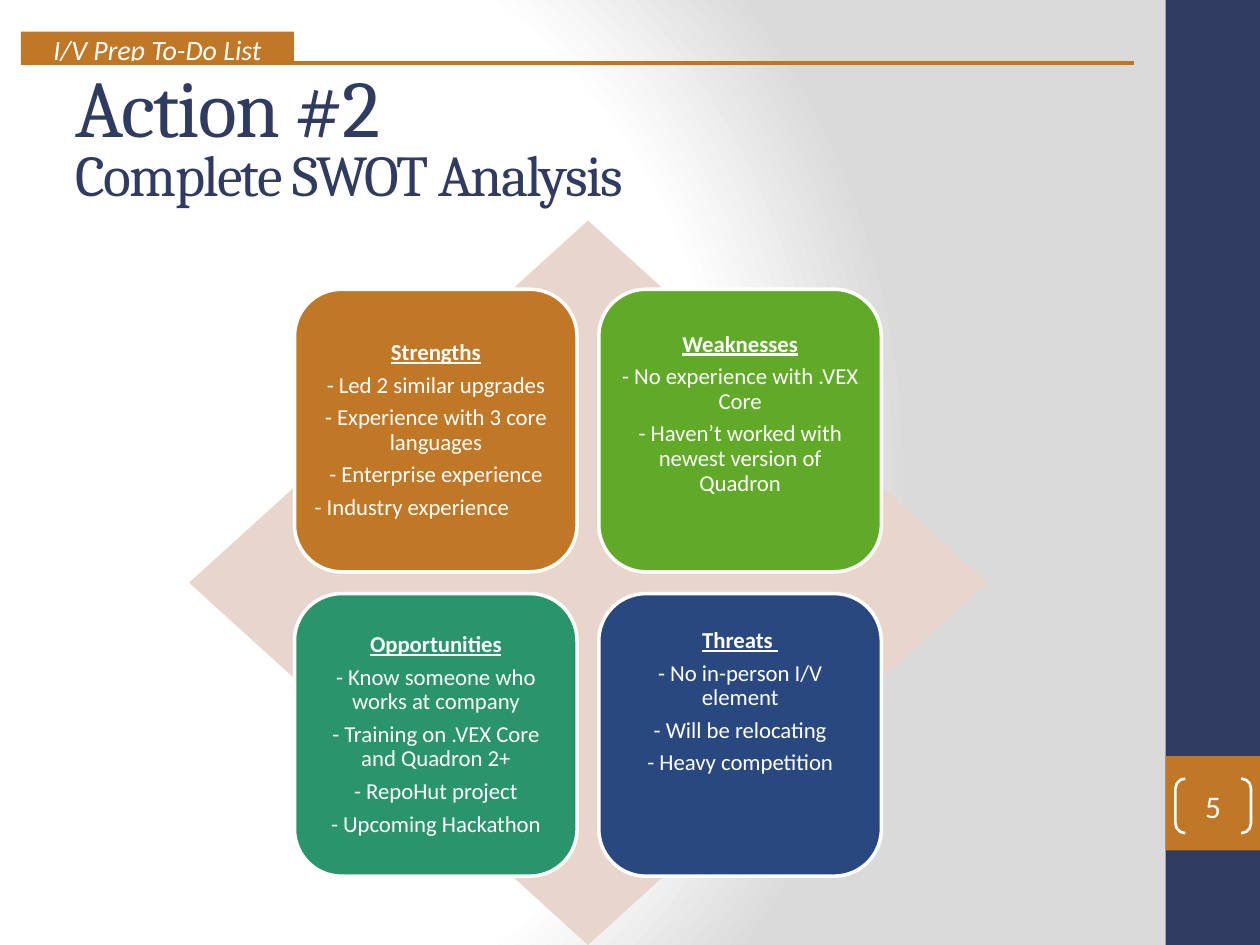
from typing import NamedTuple

from lxml.etree import SubElement
from pptx import Presentation
from pptx.dml.color import RGBColor
from pptx.enum.shapes import MSO_CONNECTOR, MSO_SHAPE as Shape
from pptx.enum.text import MSO_ANCHOR as Anchor, MSO_AUTO_SIZE, PP_ALIGN as Align
from pptx.oxml import parse_xml
from pptx.oxml.ns import nsdecls, qn
from pptx.util import Inches, Pt

COLS, ROWS = 120, 90  # grid of square cells over the slide
NAVY, ORANGE, WHITE = "2F3B60", "C07726", "FFFFFF"
BLANK_LINE = 3.1  # rows taken by one card line with its spacing


class Box(NamedTuple):
    x: float
    y: float
    w: float
    h: float


class Card(NamedTuple):
    heading: str
    points: list[str]
    fill: str
    raised_lines: int = 0
    last_left: bool = False


DIAMOND = Box(18, 21, 76, 69)
CARDS = [
    Card("Strengths", ["Led 2 similar upgrades", "Experience with 3 core languages",
                       "Enterprise experience", "Industry experience"], ORANGE, last_left=True),
    Card("Weaknesses", ["No experience with .VEX Core",
                        "Haven’t worked with newest version of Quadron"], "60AA28", 1),
    Card("Opportunities", ["Know someone who works at company",
                           "Training on .VEX Core and Quadron 2+",
                           "RepoHut project", "Upcoming Hackathon"], "2A946B"),
    Card("Threats ", ["No in-person I/V element", "Will be relocating",
                      "Heavy competition"], "2A4880", 2),
]

prs = Presentation()
prs.slide_width, prs.slide_height = Inches(10), Inches(7.5)


def rgb(color: str) -> RGBColor:
    return RGBColor.from_string(color)


def col(n: float) -> int:
    return int(prs.slide_width * n / COLS)


def row(n: float) -> int:
    return int(prs.slide_height * n / ROWS)


def place(box: Box) -> tuple[int, int, int, int]:
    return col(box.x), row(box.y), col(box.w), row(box.h)


def add_shape(s, kind, box: Box, fill: str = "", line: str = "", width: float = 0):
    sp = s.shapes.add_shape(kind, *place(box))
    sp.shadow.inherit = False
    if fill:
        sp.fill.solid()
        sp.fill.fore_color.rgb = rgb(fill)
    else:
        sp.fill.background()
    if line:
        sp.line.color.rgb = rgb(line)
        sp.line.width = Pt(width)
    else:
        sp.line.fill.background()
    return sp


def style(r, size: float, color: str = WHITE, font: str = "Calibri") -> None:
    r.font.size, r.font.name = Pt(size), font
    r.font.color.rgb = rgb(color)


def set_insets(tf, side: float, top: float, bottom: float) -> None:
    tf.margin_left = tf.margin_right = col(side)
    tf.margin_top, tf.margin_bottom = row(top), row(bottom)


def set_background(s) -> None:
    stops = "".join(f'<a:gs pos="{pos}000"><a:srgbClr val="{color}"/></a:gs>'
                    for pos, color in [(0, WHITE), (75, WHITE), (100, "DADADA")])
    s._element.cSld.insert(0, parse_xml(
        f'<p:bg {nsdecls("p", "a")}><p:bgPr><a:gradFill rotWithShape="1">'
        f'<a:gsLst>{stops}</a:gsLst><a:path path="circle">'
        '<a:fillToRect l="20000" t="50000" r="100000" b="50000"/></a:path>'
        '</a:gradFill><a:effectLst/></p:bgPr></p:bg>'))


def add_sidebar(s) -> None:
    add_shape(s, Shape.RECTANGLE, Box(111, 0, 9, 90), NAVY)
    add_shape(s, Shape.RECTANGLE, Box(111, 72, 9, 9), ORANGE)
    sp = add_shape(s, Shape.DOUBLE_BRACKET, Box(111.95, 74.15, 7.2, 5.2), line=WHITE, width=1.5)
    sp.adjustments[0] = 0.18
    tf = sp.text_frame
    set_insets(tf, 0, 0, 0)
    tf.vertical_anchor = Anchor.MIDDLE
    tf.text = "5"
    p = tf.paragraphs[0]
    p.alignment = Align.CENTER
    style(p.runs[0], 18)


def set_title(s) -> None:
    sp = s.shapes.title
    sp.left, sp.top, sp.width, sp.height = place(Box(6, 6, 104, 15))
    tf = sp.text_frame
    tf.text = "Action #2\vComplete SWOT Analysis"
    tf.auto_size, tf.vertical_anchor = MSO_AUTO_SIZE.NONE, Anchor.MIDDLE
    p = tf.paragraphs[0]
    p.alignment, p.line_spacing = Align.LEFT, 0.8
    for r, size in zip(p.runs, (46, 33)):
        style(r, size, NAVY, "Cambria")
        r.font._element.set("spc", "-100")


def add_section_label(s) -> None:
    tf = add_shape(s, Shape.RECTANGLE, Box(2, 3, 26, 3), ORANGE).text_frame
    set_insets(tf, 1.2, 0.1, 0)
    tf.vertical_anchor = Anchor.TOP
    tf.text = "I/V Prep To-Do List"
    p = tf.paragraphs[0]
    p.alignment = Align.CENTER
    style(p.runs[0], 16)
    p.runs[0].font.italic = True

    rule = s.shapes.add_connector(MSO_CONNECTOR.STRAIGHT, col(2), row(6), col(108), row(6))
    rule.line.color.rgb, rule.line.width = rgb("C07521"), Pt(2.25)
    SubElement(rule._element.spPr, qn("a:effectLst"))


def add_card(s, card: Card, box: Box) -> None:
    tf = add_shape(s, Shape.ROUNDED_RECTANGLE, box, card.fill, WHITE, 2).text_frame
    set_insets(tf, 0.6, 0.6, 0.6 + BLANK_LINE * card.raised_lines)
    tf.word_wrap, tf.vertical_anchor = True, Anchor.MIDDLE
    tf.text = "\n".join([card.heading] + [f"- {point}" for point in card.points])
    for p in tf.paragraphs:
        p.alignment, p.line_spacing, p.space_after = Align.CENTER, 0.9, Pt(4.55)
        style(p.runs[0], 13)
    heading = tf.paragraphs[0].runs[0].font
    heading.bold = heading.underline = True
    if card.last_left:
        tf.paragraphs[-1].alignment = Align.LEFT


def add_swot(s) -> None:
    add_shape(s, Shape.DIAMOND, DIAMOND, "E8D6CD")
    side = DIAMOND.h
    size, pitch, margin = 0.39 * side, 0.42 * side, 0.095 * side
    left = DIAMOND.x + (DIAMOND.w - side) / 2 + margin
    top = DIAMOND.y + margin
    for i, card in enumerate(CARDS):
        r, c = divmod(i, 2)
        add_card(s, card, Box(left + c * pitch, top + r * pitch, size, size))


def main() -> None:
    s = prs.slides.add_slide(prs.slide_layouts[5])
    set_background(s)
    add_sidebar(s)
    set_title(s)
    add_section_label(s)
    add_swot(s)
    prs.save("out.pptx")


if __name__ == "__main__":
    main()
